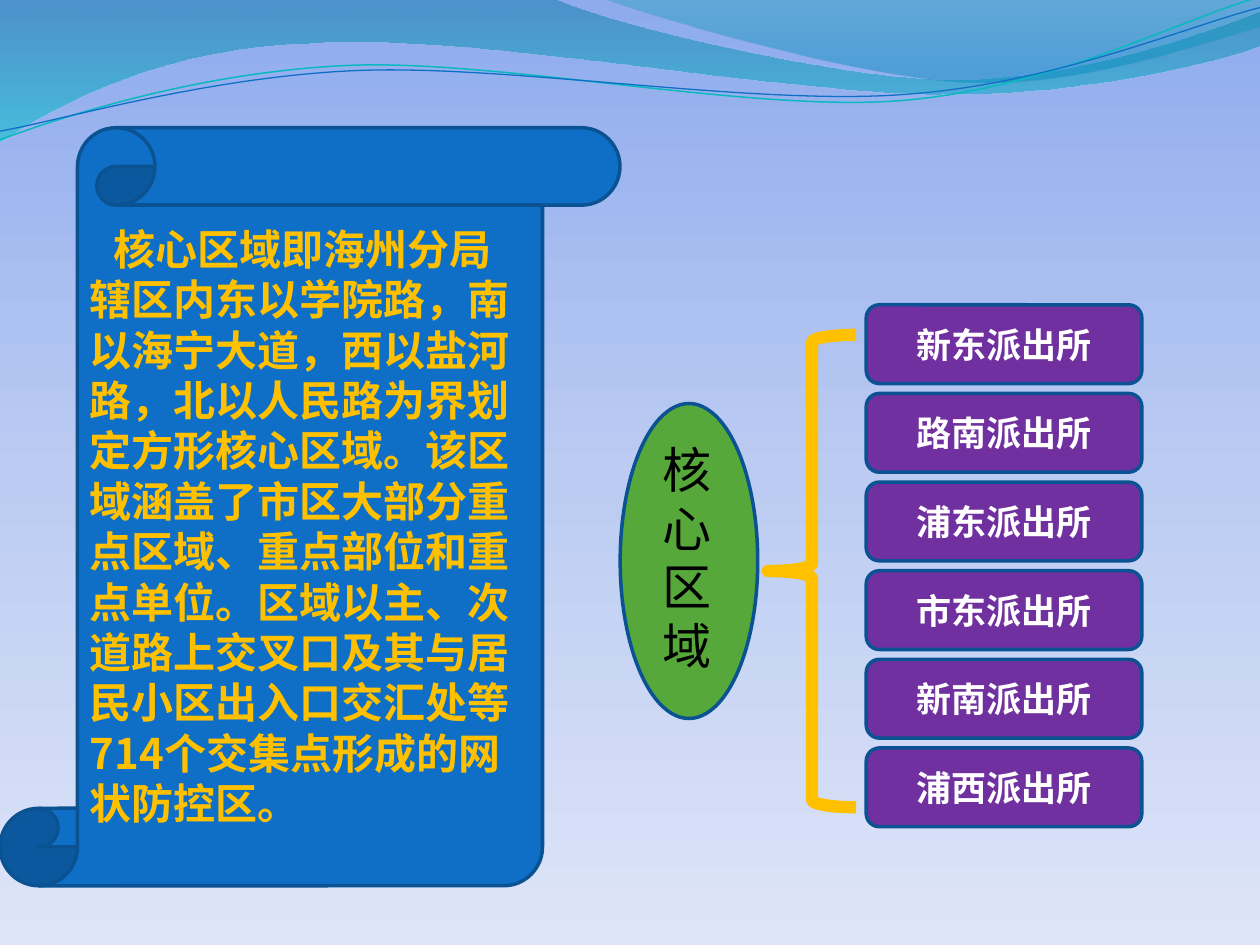
"""Build the core area slide: wave banner, scroll text and station list."""
from lxml import etree
from pptx import Presentation
from pptx.dml.color import RGBColor
from pptx.enum import shapes, text
from pptx.oxml.ns import qn
from pptx.util import Pt

BLUE = RGBColor(0x0F, 0x6F, 0xC6)
EDGE = RGBColor(0x0B, 0x52, 0x92)
TEAL = RGBColor(0x0A, 0xB8, 0xBF)
GREEN = RGBColor(0x55, 0xA8, 0x39)
PURPLE = RGBColor(0x70, 0x30, 0xA0)
GOLD = RGBColor(0xFF, 0xC0, 0x00)
WHITE = RGBColor(0xFF, 0xFF, 0xFF)
BLACK = RGBColor(0, 0, 0)
SKY = [(0, RGBColor(0x8E, 0xAB, 0xEE), 100), (50, RGBColor(0xBB, 0xCB, 0xF2), 100),
       (100, RGBColor(0xDE, 0xE5, 0xF8), 100)]
CJK, SERIF = "Noto Sans CJK SC", "Vollkorn"

STATIONS = ["新东派出所", "路南派出所", "浦东派出所", "市东派出所", "新南派出所", "浦西派出所"]
AREA = "核心区域"
BODY = ("核心区域即海州分局辖区内东以学院路\uff0c南以海宁大道\uff0c西以盐河路\uff0c北以人民路为界划定方形核心区域。"
        "该区域涵盖了市区大部分重点区域、重点部位和重点单位。区域以主、次道路上交叉口及其与居民小区"
        "出入口交汇处等714个交集点形成的网状防控区。")

BANDS = [
    ([(0, RGBColor(0x00, 0x74, 0xA1), 45), (100, RGBColor(0x00, 0xC6, 0xCF), 55)],
     [(0, 0), (316.8, -0.7), (342.7, 12.2, 478.1, 45.4, 545.8, 45.4),
      (614.2, 45.4, 689.8, 18.7, 720, 6.5), (720.7, 25.9),
      (707.8, 31.7, 626.4, 54.7, 537.1, 54), (447.8, 54, 275, 20.2, 185, 24.5),
      (92.9, 25.9, 33.1, 59.8, -0.7, 81.4), (0, 0)]),
    ([(0, RGBColor(0x00, 0xA1, 0xA9), 30), (80, RGBColor(0x00, 0x8B, 0xBF), 45)],
     [(344.9, -0.7), (366.5, 7.9, 491, 44.6, 553.7, 46.8),
      (616.3, 49.7, 691.9, 23, 720, 15.1), (720, 0), (344.9, -0.7)]),
]
STRANDS = [
    (TEAL, 0.85, [(0, 79.9), (34.6, 67, 113.8, 41, 199.4, 37.4),
                  (284.4, 33.8, 427, 64.1, 513.4, 57.6),
                  (599.8, 51.1, 675.4, 10.8, 718.6, -1.4)]),
    (BLUE, 0.75, [(0, 74.9), (33.8, 69.1, 118.1, 43.9, 203.8, 40.3),
                  (290.2, 36.7, 429.8, 60.5, 516.2, 54),
                  (601.9, 48.2, 677.5, 15.1, 720, 4.3)]),
]


def gradient(fill, root, stops):
    fill.gradient()
    fill.gradient_angle = 270
    lst = root.find(".//" + qn("a:gsLst"))
    for gs in list(lst):
        lst.remove(gs)
    for pos, color, alpha in stops:
        gs = etree.SubElement(lst, qn("a:gs"), pos=str(pos * 1000))
        clr = etree.SubElement(gs, qn("a:srgbClr"), val=str(color))
        if alpha < 100:
            etree.SubElement(clr, qn("a:alpha"), val=str(alpha * 1000))


def outline(segments, steps=24):
    pts = [segments[0]]
    for seg in segments[1:]:
        if len(seg) == 2:
            pts.append(seg)
            continue
        a, b, c, d = pts[-1], seg[:2], seg[2:4], seg[4:]
        for i in range(1, steps + 1):
            t = i / steps
            q = 1 - t
            pts.append(tuple(q**3 * a[k] + 3 * q * q * t * b[k] + 3 * q * t * t * c[k] + t**3 * d[k]
                             for k in (0, 1)))
    return pts


def wave(s, segments, close):
    pts = [(Pt(x), Pt(y)) for x, y in outline(segments)]
    fb = s.shapes.build_freeform(*pts[0], scale=1.0)
    fb.add_line_segments(pts[1:], close=close)
    sp = fb.convert_to_shape()
    sp.shadow.inherit = False
    curve = sp._element.find(".//" + qn("a:path"))
    for node in list(curve):
        curve.remove(node)
    for i, seg in enumerate(segments):
        tag = "a:moveTo" if i == 0 else "a:lnTo" if len(seg) == 2 else "a:cubicBezTo"
        node = etree.SubElement(curve, qn(tag))
        for x, y in zip(seg[::2], seg[1::2]):
            etree.SubElement(node, qn("a:pt"), x=str(Pt(x) - sp.left), y=str(Pt(y) - sp.top))
    if close:
        etree.SubElement(curve, qn("a:close"))
    return sp


def shape(s, kind, box, fill, line, width):
    sp = s.shapes.add_shape(kind, *map(Pt, box))
    sp.shadow.inherit = False
    if fill is None:
        sp.fill.background()
    else:
        sp.fill.solid()
        sp.fill.fore_color.rgb = fill
    sp.line.color.rgb = line
    sp.line.width = Pt(width)
    return sp


def write(sp, words, size, font, color, bold, align, anchor, spacing=None, top=3.6):
    tf = sp.text_frame
    tf.word_wrap = True
    tf.vertical_anchor = anchor
    tf.margin_top = Pt(top)
    p = tf.paragraphs[0]
    p.alignment = align
    if spacing:
        p.line_spacing = Pt(spacing)
    r = p.add_run()
    r.text = words
    r.font.size = Pt(size)
    r.font.name = font
    r.font.bold = bold
    r.font.color.rgb = color
    etree.SubElement(r.font._element, qn("a:ea"), typeface=CJK)
    return p


prs = Presentation()
prs.slide_width, prs.slide_height = Pt(720), Pt(540)
s = prs.slides.add_slide(prs.slide_layouts[6])
gradient(s.background.fill, s._element, SKY)

for stops, segments in BANDS:
    sp = wave(s, segments, True)
    gradient(sp.fill, sp._element, stops)
    sp.line.fill.background()
for color, width, segments in STRANDS:
    sp = wave(s, segments, False)
    sp.fill.background()
    sp.line.color.rgb = color
    sp.line.width = Pt(width)

KIND, ALIGN, ANCHOR = shapes.MSO_SHAPE, text.PP_ALIGN, text.MSO_ANCHOR
scroll = shape(s, KIND.VERTICAL_SCROLL, (0, 73, 354.3, 433.2), BLUE, EDGE, 2)
p = write(scroll, BODY, 24, CJK, GOLD, True, ALIGN.LEFT, ANCHOR.TOP, 28.8, 10.4)
p._p.get_or_add_pPr().set("indent", str(Pt(13.5)))

shape(s, KIND.OVAL, (354.4, 230.6, 78.6, 180), GREEN, EDGE, 2)
label = s.shapes.add_textbox(*map(Pt, (371.5, 247.7, 33.8, 143.3)))
write(label, AREA, 28, SERIF, BLACK, False, ALIGN.LEFT, ANCHOR.TOP, 33.5, 3.6)

for i, name in enumerate(STATIONS):
    sp = shape(s, KIND.ROUNDED_RECTANGLE, (495, 174.2 + i * 50.65, 157.5, 45), PURPLE, EDGE, 2)
    write(sp, name, 20, SERIF, WHITE, True, ALIGN.CENTER, ANCHOR.MIDDLE)

shape(s, KIND.LEFT_BRACE, (438.8, 191.3, 50.4, 270), None, GOLD, 7)
prs.save("out.pptx")
